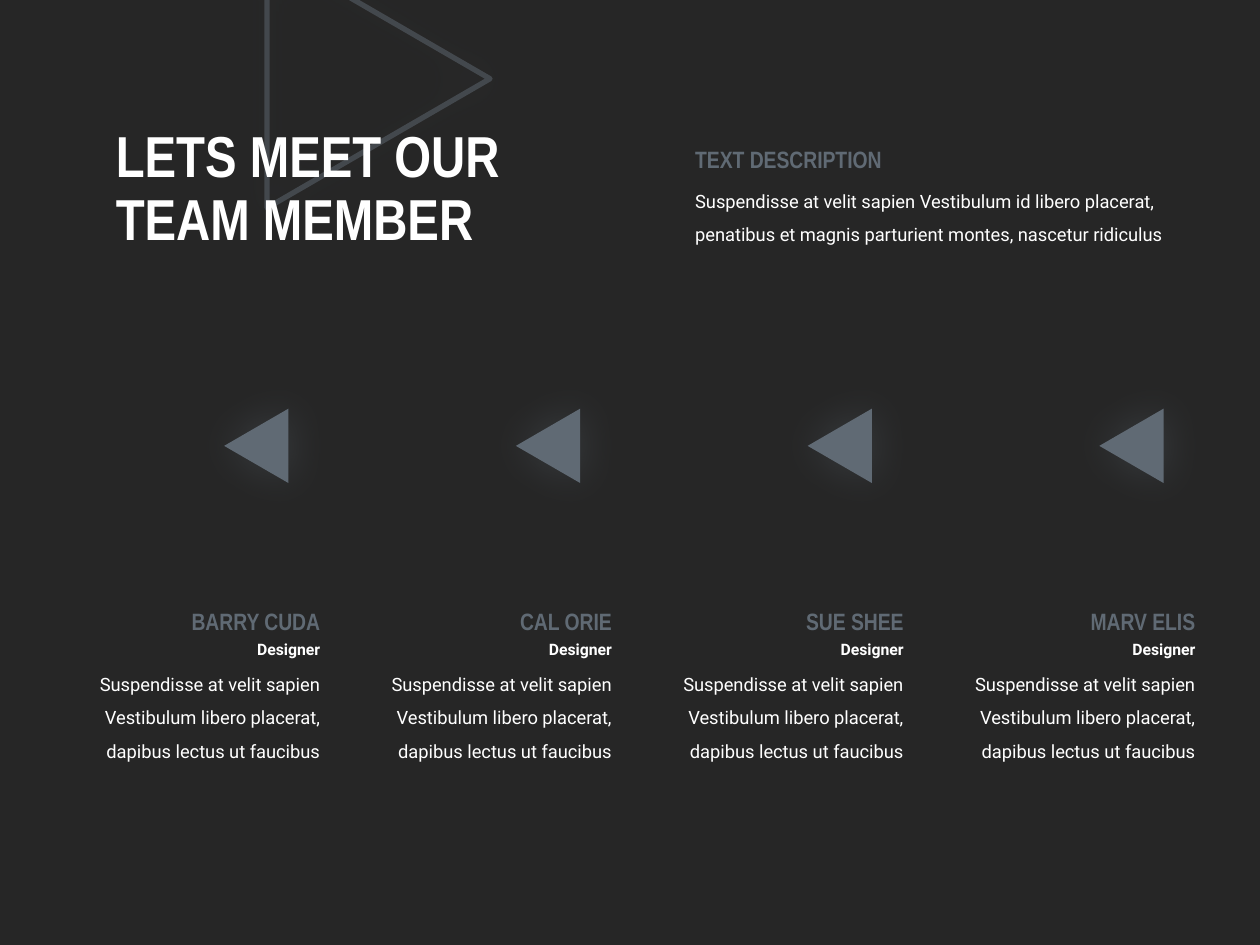
from lxml import etree
from pptx import Presentation
from pptx import util as u
from pptx.dml.color import RGBColor
from pptx.enum import shapes, text
from pptx.oxml.ns import qn

SLATE, WHITE, DARK = "606A74", "FFFFFF", "262626"
HEADING, BODY = "Arial Narrow", "Roboto"
LEFT, RIGHT = text.PP_ALIGN.LEFT, text.PP_ALIGN.RIGHT


def color(value):
    return RGBColor.from_string(value)


def add_alpha(parent, percent):
    etree.SubElement(parent, qn("a:alpha"), val=str(percent * 1000))


class TeamSlide:
    def __init__(self, deck):
        self.slide = deck.slides.add_slide(deck.slide_layouts[5])
        fill = self.slide.background.fill
        fill.solid()
        fill.fore_color.rgb = color(DARK)

    def style(self, para, font, size, hue, bold, align, spacing):
        para.alignment = align
        para.line_spacing = spacing
        para.font.name = font
        para.font.size = u.Pt(size)
        para.font.bold = bold
        para.font.color.rgb = color(hue)

    def title(self, words, left, top, width, height):
        box = self.slide.shapes.title
        box.left, box.top = u.Pt(left), u.Pt(top)
        box.width, box.height = u.Pt(width), u.Pt(height)
        frame = box.text_frame
        frame.text = words
        frame.word_wrap = True
        frame.auto_size = text.MSO_AUTO_SIZE.NONE
        frame.vertical_anchor = text.MSO_ANCHOR.MIDDLE
        self.style(frame.paragraphs[0], HEADING, 33, WHITE, True, LEFT, 0.9)

    def text(self, words, left, top, width, height, font=BODY, size=10.5,
             hue=WHITE, bold=False, align=LEFT, spacing=1.0):
        box = self.slide.shapes.add_textbox(
            u.Pt(left), u.Pt(top), u.Pt(width), u.Pt(height))
        frame = box.text_frame
        frame.word_wrap = True
        frame.auto_size = text.MSO_AUTO_SIZE.SHAPE_TO_FIT_TEXT
        frame.text = words
        self.style(frame.paragraphs[0], font, size, hue, bold, align, spacing)

    def heading(self, words, left, top, width, align=LEFT):
        self.text(words, left, top, width, 23.8, HEADING, 13.5, SLATE, True, align)

    def triangle(self, left, top, width, height, rotation, outlined=False):
        shape = self.slide.shapes.add_shape(
            shapes.MSO_SHAPE.ISOSCELES_TRIANGLE,
            u.Pt(left), u.Pt(top), u.Pt(width), u.Pt(height))
        shape.rotation = rotation
        if outlined:
            shape.fill.background()
            shape.line.width = u.Pt(3)
            shape.line.color.rgb = color(SLATE)
            add_alpha(shape.line._ln.find(".//" + qn("a:srgbClr")), 50)
        else:
            shape.fill.solid()
            shape.fill.fore_color.rgb = color(SLATE)
            shape.line.fill.background()
        self.glow(shape)

    def glow(self, shape):
        shape.shadow.inherit = False
        effects = shape._element.spPr.find(qn("a:effectLst"))
        shadow = etree.SubElement(
            effects, qn("a:outerShdw"), blurRad=str(u.Pt(25)), dist="0",
            dir="0", algn="ctr", rotWithShape="0")
        add_alpha(etree.SubElement(shadow, qn("a:srgbClr"), val=SLATE), 35)


def main():
    deck = Presentation()
    deck.slide_width, deck.slide_height = u.Pt(720), u.Pt(540)
    page = TeamSlide(deck)

    # Header, with the outlined triangle behind the title
    page.triangle(142.5, -18.7, 147.6, 127.4, 90, outlined=True)
    title = page.slide.shapes.title._element
    title.getparent().append(title)
    page.title("LETS MEET OUR\vTEAM MEMBER", 59, 51.8, 303.8, 113.8)
    page.heading("TEXT DESCRIPTION", 390.2, 79.2, 132.5)
    page.text("Suspendisse at velit sapien Vestibulum id libero placerat, "
              "penatibus et magnis parturient montes, nascetur ridiculus",
              390.2, 98.6, 299.5, 43.2, spacing=1.5)

    # Team members, right-aligned in four equal columns
    first_right, pitch = 190, 166.7
    for index, name in enumerate(["BARRY CUDA", "CAL ORIE", "SUE SHEE", "MARV ELIS"]):
        right = first_right + index * pitch
        page.triangle(right - 64.8, 236.4, 42.5, 36.7, 270)
        page.heading(name, right - 100, 343.4, 100, RIGHT)
        page.text("Designer", right - 56.2, 362.2, 56.2, 18, size=9,
                  bold=True, align=RIGHT)
        page.text("Suspendisse at velit sapien Vestibulum libero placerat, "
                  "dapibus lectus ut faucibus",
                  right - 153.4, 375.1, 153.4, 62.6, align=RIGHT, spacing=1.5)

    deck.save("out.pptx")


if __name__ == "__main__":
    main()
